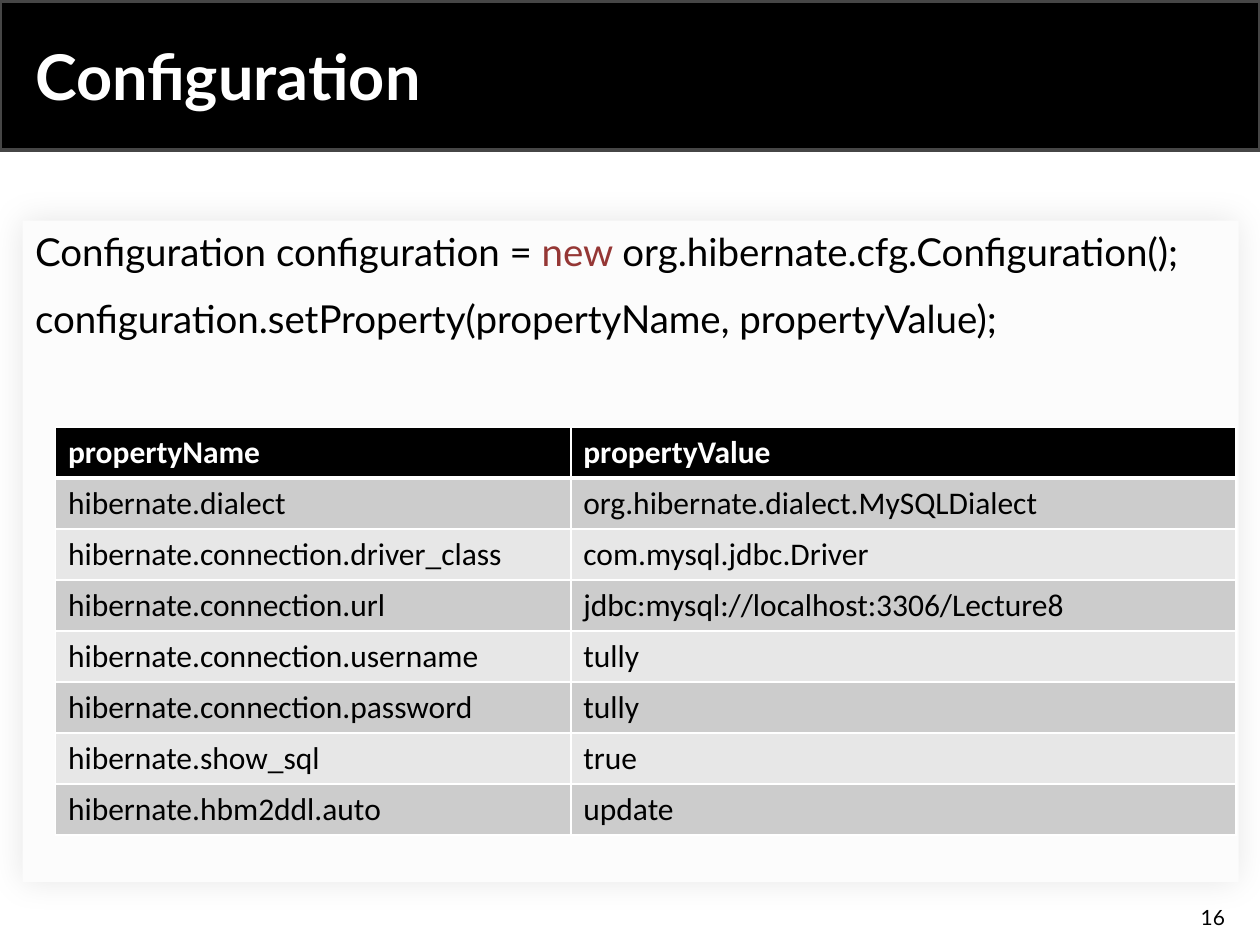
from dataclasses import dataclass

from lxml import etree
from pptx import Presentation
from pptx import util as u
from pptx.dml.color import RGBColor
from pptx.enum import shapes, text
from pptx.oxml import parse_xml
from pptx.oxml.ns import nsdecls, qn


@dataclass(frozen=True)
class Theme:
    black: str = "000000"
    white: str = "FFFFFF"
    band_edge: str = "464646"
    panel: str = "FCFCFC"
    keyword: str = "953735"
    stripes: tuple = ("CCCCCC", "E7E7E7")
    font: str = "Lato"
    table_font: str = "Calibri"
    title_size: int = 36
    code_size: int = 22
    table_size: int = 18
    number_size: int = 12


@dataclass(frozen=True)
class Box:
    left: float
    top: float
    width: float
    height: float

    def emu(self) -> tuple:
        return tuple(u.Inches(v) for v in (self.left, self.top, self.width, self.height))


@dataclass(frozen=True)
class Property:
    name: str
    value: str


THEME = Theme()
KEYWORD = "new "
CODE = (
    ("Configuration configuration = ", KEYWORD, "org.hibernate.cfg.Configuration();"),
    ("configuration.setProperty(propertyName, propertyValue);",),
)
PROPERTIES = (
    Property("propertyName", "propertyValue"),
    Property("hibernate.dialect", "org.hibernate.dialect.MySQLDialect"),
    Property("hibernate.connection.driver_class", "com.mysql.jdbc.Driver"),
    Property("hibernate.connection.url", "jdbc:mysql://localhost:3306/Lecture8"),
    Property("hibernate.connection.username", "tully"),
    Property("hibernate.connection.password", "tully"),
    Property("hibernate.show_sql", "true"),
    Property("hibernate.hbm2ddl.auto", "update"),
)
COLUMN_WIDTHS = (4.09, 5.28)
ROW_HEIGHT = 0.405


def style(font, size: int, color: str, name: str = THEME.font, bold: bool = False) -> None:
    font.name, font.size, font.bold = name, u.Pt(size), bold
    font.color.rgb = RGBColor.from_string(color)


def add_rectangle(slide, box: Box, fill: str):
    rectangle = slide.shapes.add_shape(shapes.MSO_SHAPE.RECTANGLE, *box.emu())
    rectangle.shadow.inherit = False
    rectangle.fill.solid()
    rectangle.fill.fore_color.rgb = RGBColor.from_string(fill)
    rectangle.line.fill.background()
    return rectangle


def add_soft_shadow(shape, blur: float, opacity: int) -> None:
    effects = shape._element.spPr.find(qn("a:effectLst"))
    effects.append(parse_xml(
        f'<a:outerShdw {nsdecls("a")} blurRad="{u.Pt(blur)}" dist="0" dir="0" rotWithShape="0">'
        f'<a:srgbClr val="{THEME.black}"><a:alpha val="{opacity * 1000}"/></a:srgbClr>'
        '</a:outerShdw>'))


def add_text_frame(slide, box: Box, anchor):
    frame = slide.shapes.add_textbox(*box.emu()).text_frame
    frame.word_wrap = True
    frame.vertical_anchor = anchor
    return frame


def add_label(slide, box: Box, words: str, size: int, color: str,
              bold: bool = False, align=text.PP_ALIGN.LEFT) -> None:
    frame = add_text_frame(slide, box, text.MSO_ANCHOR.MIDDLE)
    frame.text = words
    frame.paragraphs[0].alignment = align
    style(frame.paragraphs[0].runs[0].font, size, color, bold=bold)


def add_code(slide, box: Box) -> None:
    frame = add_text_frame(slide, box, text.MSO_ANCHOR.TOP)
    for index, pieces in enumerate(CODE):
        line = frame.add_paragraph() if index else frame.paragraphs[0]
        line.space_after = u.Pt(6)
        if index:
            line.space_before = u.Pt(6)
        for piece in pieces:
            run = line.add_run()
            run.text = piece
            style(run.font, THEME.code_size, THEME.keyword if piece == KEYWORD else THEME.black)


def set_borders(cell, **widths: float) -> None:
    properties = cell._tc.get_or_add_tcPr()
    for position, (side, width) in enumerate(widths.items()):
        border = etree.Element(qn(f"a:ln{side}"), w=str(u.Pt(width)))
        fill = etree.SubElement(border, qn("a:solidFill"))
        etree.SubElement(fill, qn("a:srgbClr"), val=THEME.white)
        properties.insert(position, border)


def add_property_table(slide, left: float, top: float) -> None:
    box = Box(left, top, sum(COLUMN_WIDTHS), ROW_HEIGHT * len(PROPERTIES))
    table = slide.shapes.add_table(len(PROPERTIES), len(COLUMN_WIDTHS), *box.emu()).table
    for column, width in zip(table.columns, COLUMN_WIDTHS):
        column.width = u.Inches(width)
    for index, (row, entry) in enumerate(zip(table.rows, PROPERTIES)):
        row.height = u.Inches(ROW_HEIGHT)
        header = index == 0
        fill = THEME.black if header else THEME.stripes[(index - 1) % 2]
        for cell, words in zip(row.cells, (entry.name, entry.value)):
            cell.text = words
            style(cell.text_frame.paragraphs[0].runs[0].font, THEME.table_size,
                  THEME.white if header else THEME.black, THEME.table_font, header)
            cell.fill.solid()
            cell.fill.fore_color.rgb = RGBColor.from_string(fill)
            set_borders(cell, L=1, R=1, T=3 if index == 1 else 1, B=3 if header else 1)


def main() -> None:
    deck = Presentation()
    deck.slide_width, deck.slide_height = u.Inches(10), u.Inches(7.5)
    slide = deck.slides.add_slide(deck.slide_layouts[6])

    # Title band and content panel
    band = add_rectangle(slide, Box(0, 0.01, 10, 1.18), THEME.black)
    band.line.color.rgb = RGBColor.from_string(THEME.band_edge)
    band.line.width = u.Pt(2)
    panel = add_rectangle(slide, Box(0.18, 1.75, 9.65, 5.25), THEME.panel)
    add_soft_shadow(panel, blur=19, opacity=10)

    # Title and slide number
    add_label(slide, Box(0.18, 0.1, 8.15, 1), "Configuration",
              THEME.title_size, THEME.white, bold=True)
    add_label(slide, Box(7.54, 7.13, 2.28, 0.3), "16",
              THEME.number_size, THEME.black, align=text.PP_ALIGN.RIGHT)

    # Code lines and property table
    add_code(slide, Box(0.18, 1.76, 9.29, 1.01))
    add_property_table(slide, 0.44, 3.39)

    deck.save("out.pptx")


if __name__ == "__main__":
    main()
